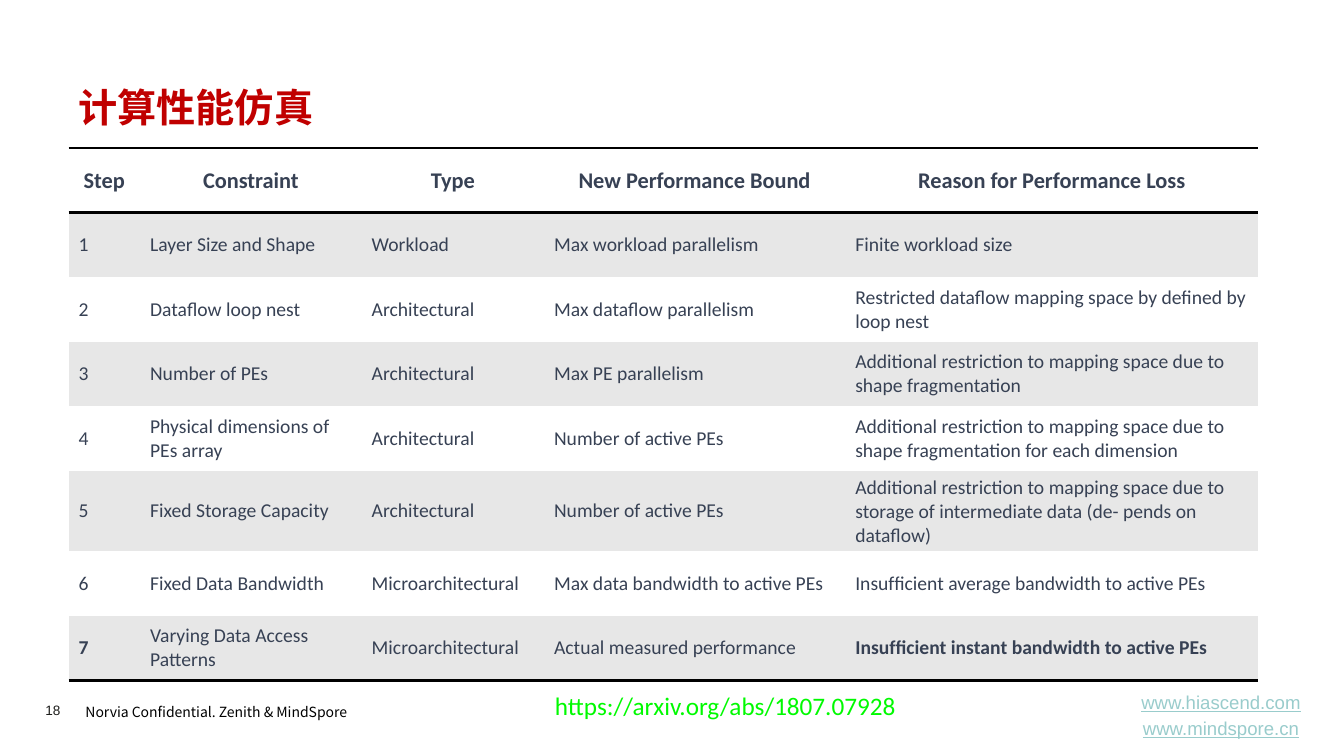
"""Build the slide that lists the constraints behind compute performance simulation."""
from lxml import etree
from pptx import Presentation, util as u
from pptx.dml.color import RGBColor
from pptx.enum import text
from pptx.oxml import ns

UNIT = u.Inches(0.01)
GRID_COLS, GRID_ROWS = 1334, 750
MARGIN = 68
LEFT, CENTER = text.PP_ALIGN.LEFT, text.PP_ALIGN.CENTER
TOP, MIDDLE = text.MSO_ANCHOR.TOP, text.MSO_ANCHOR.MIDDLE
CJK = "Noto Sans CJK SC"
NO_STYLE = "{2D5ABB26-0587-4C30-8999-92F81FD0307C}"


def style(frame, size, face, color, bold=False, align=LEFT, underline=None):
    for paragraph in frame.paragraphs:
        paragraph.alignment = align
        for run in paragraph.runs:
            font = run.font
            font.size, font.name = u.Pt(size), face
            font.bold, font.underline = bold, underline
            font.color.rgb = RGBColor.from_string(color)
            etree.SubElement(run._r.get_or_add_rPr(), ns.qn("a:ea"), typeface=face)


def write(words, col, row, cols, rows, anchor=TOP, wrap=True, inset=True):
    box = slide.shapes.add_textbox(*(n * UNIT for n in (col, row, cols, rows)))
    frame = box.text_frame
    frame.word_wrap, frame.vertical_anchor = wrap, anchor
    if not inset:
        frame.margin_left = frame.margin_top = frame.margin_right = frame.margin_bottom = 0
    frame.text = words
    return frame


deck = Presentation()
deck.slide_width, deck.slide_height = GRID_COLS * UNIT, GRID_ROWS * UNIT
slide = deck.slides.add_slide(deck.slide_layouts[6])

notice = write("Norvia Confidential. Zenith & MindSpore", 75, 690, 313, 29)
notice.paragraphs[0].line_spacing = 1.2
style(notice, 10, CJK, "000000")

page_number = write("18", 45, 696, 55, 16, inset=False)
style(page_number, 9.7, "Arial", "1D1D1B")

sites = write("www.hiascend.com\nwww.mindspore.cn", 1104, 688, 216, 43, MIDDLE)
sites.paragraphs[1].space_before = u.Pt(2.7)
style(sites, 13.3, "Arial", "99CCCC", align=CENTER, underline=True)

title = write("计算性能仿真", MARGIN, 74, 1199, 64, MIDDLE)
style(title, 28, CJK, "C00000", bold=True)

steps = [
    ("Step", "Constraint", "Type", "New Performance Bound", "Reason for Performance Loss"),
    ("1", "Layer Size and Shape", "Workload", "Max workload parallelism",
     "Finite workload size"),
    ("2", "Dataﬂow loop nest", "Architectural", "Max dataﬂow parallelism",
     "Restricted dataﬂow mapping space by deﬁned by loop nest"),
    ("3", "Number of PEs", "Architectural", "Max PE parallelism",
     "Additional restriction to mapping space due to shape fragmentation"),
    ("4", "Physical dimensions of PEs array", "Architectural", "Number of active PEs",
     "Additional restriction to mapping space due to shape fragmentation for each dimension"),
    ("5", "Fixed Storage Capacity", "Architectural", "Number of active PEs",
     "Additional restriction to mapping space due to storage of intermediate data "
     "(de- pends on dataﬂow)"),
    ("6", "Fixed Data Bandwidth", "Microarchitectural", "Max data bandwidth to active PEs",
     "Insufﬁcient average bandwidth to active PEs"),
    ("7", "Varying Data Access Patterns", "Microarchitectural", "Actual measured performance",
     "Insufﬁcient instant bandwidth to active PEs"),
]
widths = [71, 220, 181, 299, 410]
heights = [64] * len(steps)
heights[5] = 80
last = len(steps) - 1
rules = {0: ("a:lnT", "a:lnB"), last: ("a:lnB",)}
bold_cells = {(last, 0), (last, 4)}

table = slide.shapes.add_table(
    len(steps), len(widths), MARGIN * UNIT, 147 * UNIT,
    sum(widths) * UNIT, sum(heights) * UNIT).table
table._tbl.tblPr.find(ns.qn("a:tableStyleId")).text = NO_STYLE
for column, width in zip(table.columns, widths):
    column.width = width * UNIT

for r, step in enumerate(steps):
    table.rows[r].height = heights[r] * UNIT
    header = r == 0
    for c, words in enumerate(step):
        cell = table.cell(r, c)
        for side in rules.get(r, ()):
            line = etree.SubElement(cell._tc.get_or_add_tcPr(), ns.qn(side), w=str(u.Pt(2)))
            ink = etree.SubElement(line, ns.qn("a:solidFill"))
            etree.SubElement(ink, ns.qn("a:srgbClr"), val="000000")
        cell.fill.solid()
        cell.fill.fore_color.rgb = RGBColor.from_string("E7E7E7" if r % 2 else "FFFFFF")
        cell.vertical_anchor = MIDDLE
        cell.text_frame.text = words
        style(cell.text_frame, 16 if header else 14, "Calibri", "374154",
              bold=header or (r, c) in bold_cells, align=CENTER if header else LEFT)

paper = write("https://arxiv.org/abs/1807.07928", 541, 680, 362, 40, wrap=False)
style(paper, 18, "Calibri", "00FA00")

deck.save("out.pptx")
